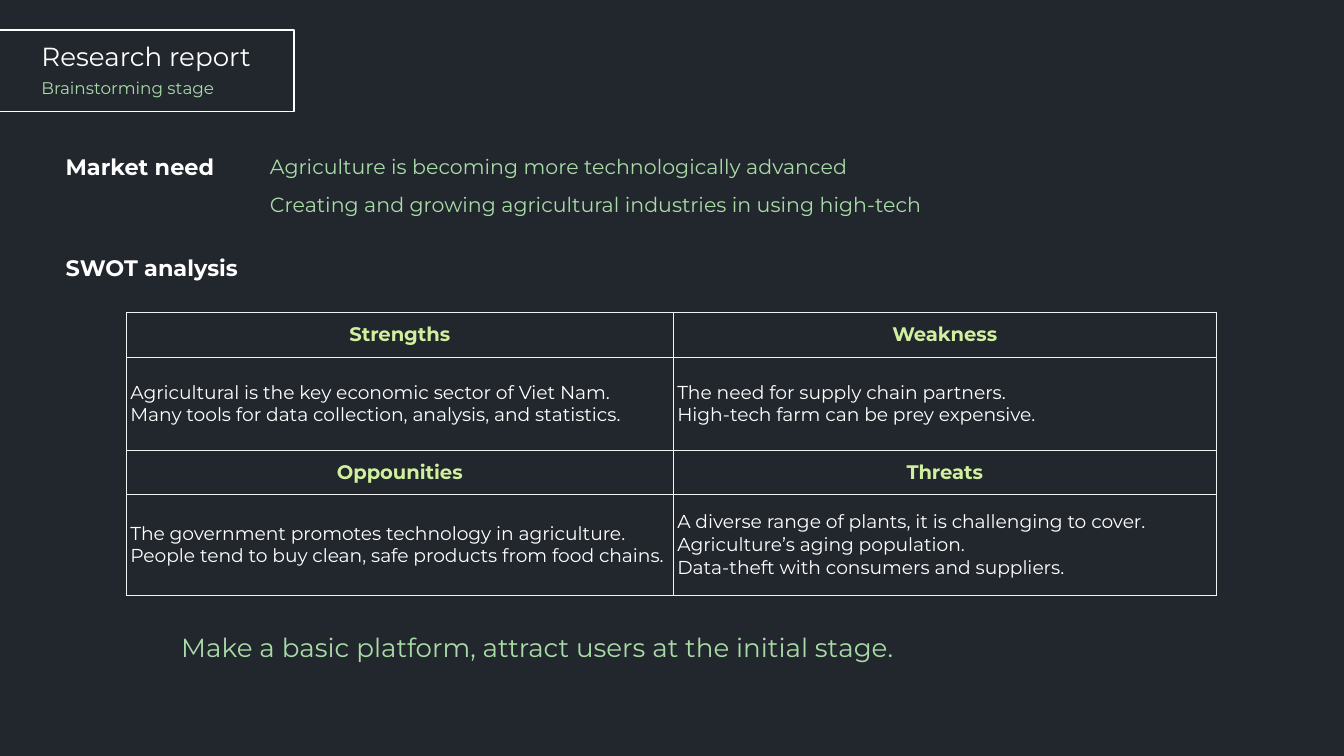
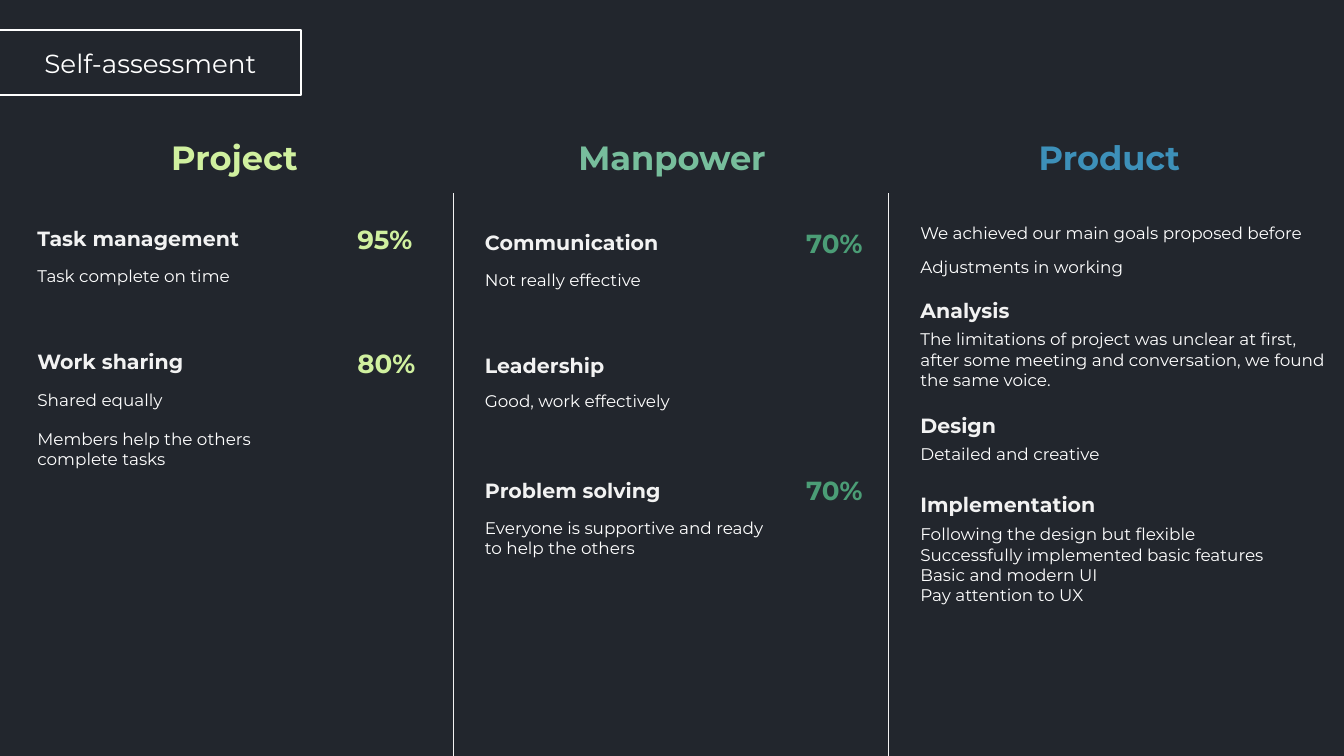
from lxml import etree
from pptx import Presentation
from pptx.dml.color import RGBColor
from pptx.enum.shapes import MSO_CONNECTOR, MSO_SHAPE
from pptx.enum.text import MSO_ANCHOR as ANCHOR, PP_ALIGN as ALIGN
from pptx.oxml.ns import qn
from pptx.util import Emu, Pt

FONT = "Montserrat"
DARK, WHITE, PALE = "22262D", "FFFFFF", "F2F2F2"
MINT, LIME, TEAL, GREEN, BLUE = "A8DBA7", "D0F09F", "77BE9C", "4B9D76", "3D90B9"

# Text styles: size, colour, bold
TITLE = (14, WHITE, False)
SUBTITLE = (9, MINT, False)
SECTION = (12, WHITE, True)
NEED = (11, MINT, False)
CONCLUSION = (14, MINT, False)
CELL_HEAD = (10.5, LIME, True)
CELL_BODY = (10, WHITE, False)
TOPIC = (11, PALE, True)
DETAIL = (9, WHITE, False)

# Research report: style, left, top, width, height, text
REPORT_TEXTS = [
    (SECTION, 39, 109, 180, 30, "Market need"),
    (NEED, 191, 110, 514, 29, "Agriculture is becoming more technologically advanced"),
    (NEED, 191, 138, 514, 29, "Creating and growing agricultural industries in using high-tech"),
    (SECTION, 39, 184, 180, 30, "SWOT analysis"),
    (CONCLUSION, 125, 465, 781, 34, "Make a basic platform, attract users at the initial stage."),
]
SWOT_COLS = [407, 404]
SWOT_ROWS = [  # height, style, alignment, cells
    (34, CELL_HEAD, ALIGN.CENTER, ["Strengths", "Weakness"]),
    (69, CELL_BODY, ALIGN.LEFT, [
        "Agricultural is the key economic sector of Viet Nam.\n"
        "Many tools for data collection, analysis, and statistics.",
        "The need for supply chain partners.\nHigh-tech farm can be prey expensive."]),
    (33, CELL_HEAD, ALIGN.CENTER, ["Oppounities", "Threats"]),
    (75, CELL_BODY, ALIGN.LEFT, [
        "The government promotes technology in agriculture.\n"
        "People tend to buy clean, safe products from food chains.",
        "A diverse range of plants, it is challenging to cover.\n"
        "Agriculture’s aging population.\nData-theft with consumers and suppliers."]),
]

# Self-assessment: heading (text, colour, left, width), left of the texts,
# texts (style, top, width, height, text), scores (colour, left, [(top, text)])
COLUMNS = [
    (("Project", LIME, 93, 163), 18, [
        (TOPIC, 163, 224, 29, "Task management"),
        (DETAIL, 193, 232, 25, "Task complete on time"),
        (TOPIC, 255, 224, 29, "Work sharing"),
        (DETAIL, 285, 232, 25, "Shared equally"),
        (DETAIL, 314, 232, 40, "Members help the others complete tasks"),
    ], (LIME, 256, [(161, "95%"), (253, "80%")])),
    (("Manpower", TEAL, 399, 202), 351, [
        (TOPIC, 166, 224, 29, "Communication"),
        (DETAIL, 196, 232, 25, "Not really effective"),
        (TOPIC, 258, 224, 34, "Leadership"),
        (DETAIL, 286, 232, 25, "Good, work effectively"),
        (TOPIC, 351, 224, 34, "Problem solving"),
        (DETAIL, 380, 232, 118, "Everyone is supportive and ready to help the others"),
    ], (GREEN, 590, [(164, "70%"), (348, "70%")])),
    (("Product", BLUE, 744, 163), 675, [
        (DETAIL, 161, 306, 25, "We achieved our main goals proposed before"),
        (DETAIL, 186, 306, 25, "Adjustments in working"),
        (TOPIC, 217, 115, 34, "Analysis"),
        (DETAIL, 240, 325, 56, "The limitations of project was unclear at first, after some "
                               "meeting and conversation, we found the same voice."),
        (TOPIC, 302, 88, 29, "Design"),
        (DETAIL, 325, 221, 25, "Detailed and creative"),
        (TOPIC, 361, 166, 29, "Implementation"),
        (DETAIL, 385, 297, 71, "Following the design but flexible\n"
                               "Successfully implemented basic features\n"
                               "Basic and modern UI\nPay attention to UX"),
    ], (BLUE, 0, [])),
]
DIVIDERS = [337, 661]


def px(n):
    """One px is a hundredth of an inch."""
    return Emu(n * 9144)


def rgb(color):
    return RGBColor.from_string(color)


def fill_text(tf, text, style, align=ALIGN.LEFT):
    size, color, bold = style
    tf.text = text
    for p in tf.paragraphs:
        p.alignment = align
        for r in p.runs:
            r.font.name, r.font.size, r.font.bold = FONT, Pt(size), bold
            r.font.color.rgb = rgb(color)


def add_text(s, style, x, y, w, h, text, align=ALIGN.LEFT, anchor=ANCHOR.TOP, pad=5):
    tf = s.shapes.add_textbox(px(x), px(y), px(w), px(h)).text_frame
    tf.word_wrap = True
    tf.vertical_anchor = anchor
    tf.margin_left = tf.margin_right = px(10)
    tf.margin_top = tf.margin_bottom = px(pad)
    fill_text(tf, text, style, align)


def add_label(s, style, x, y, w, h, text, align=ALIGN.CENTER):
    add_text(s, style, x, y, w, h, text, align, ANCHOR.MIDDLE, 10)


def add_slide(prs, frame_width, frame_height):
    """Dark slide with the title frame running in from the left edge."""
    s = prs.slides.add_slide(prs.slide_layouts[6])
    s.background.fill.solid()
    s.background.fill.fore_color.rgb = rgb(DARK)
    sp = s.shapes.add_shape(MSO_SHAPE.RECTANGLE, px(-7), px(22), px(frame_width), px(frame_height))
    sp.shadow.inherit = False
    sp.fill.background()
    sp.line.color.rgb = rgb(WHITE)
    sp.line.width = Pt(1)
    return s


def set_borders(cell):
    tcPr = cell._tc.get_or_add_tcPr()
    for i, side in enumerate(("lnL", "lnR", "lnT", "lnB")):
        ln = etree.Element(qn("a:" + side), w=str(Pt(0.25)))
        fill = etree.SubElement(ln, qn("a:solidFill"))
        etree.SubElement(fill, qn("a:srgbClr"), val=PALE)
        tcPr.insert(i, ln)


def add_swot(s, x, y):
    height = sum(row[0] for row in SWOT_ROWS)
    table = s.shapes.add_table(len(SWOT_ROWS), len(SWOT_COLS), px(x), px(y),
                               px(sum(SWOT_COLS)), px(height)).table
    table.first_row = table.horz_banding = False
    for col, w in zip(table.columns, SWOT_COLS):
        col.width = px(w)
    for row, (h, style, align, texts) in zip(table.rows, SWOT_ROWS):
        row.height = px(h)
        for cell, text in zip(row.cells, texts):
            cell.fill.background()
            cell.vertical_anchor = ANCHOR.MIDDLE
            cell.margin_left = cell.margin_right = px(3)
            cell.margin_top = cell.margin_bottom = px(2)
            fill_text(cell.text_frame, text, style, align)
            set_borders(cell)


def add_divider(s, x):
    line = s.shapes.add_connector(MSO_CONNECTOR.STRAIGHT, px(x), px(144), px(x), px(574))
    line.line.color.rgb = rgb(PALE)
    line.line.width = Pt(0.25)
    etree.SubElement(line._element.spPr, qn("a:effectLst"))


def build_report(prs):
    s = add_slide(prs, 226, 61)
    add_label(s, TITLE, 21, 30, 198, 24, "Research report", ALIGN.LEFT)
    add_label(s, SUBTITLE, 21, 54, 198, 22, "Brainstorming stage", ALIGN.LEFT)
    for item in REPORT_TEXTS:
        add_text(s, *item)
    add_swot(s, 94, 232)


def build_assessment(prs):
    s = add_slide(prs, 231, 49)
    add_label(s, TITLE, 0, 33, 224, 28, "Self-assessment")
    for x in DIVIDERS:
        add_divider(s, x)
    for (heading, color, hx, hw), x, texts, (score_color, score_x, scores) in COLUMNS:
        add_label(s, (18, color, True), hx, 104, hw, 26, heading)
        for style, y, w, h, text in texts:
            add_text(s, style, x, y, w, h, text)
        for y, text in scores:
            add_text(s, (14, score_color, True), score_x, y, 71, 34, text, anchor=ANCHOR.MIDDLE)


def main():
    prs = Presentation()
    prs.slide_width = px(1000)
    prs.slide_height = prs.slide_width * 9 // 16
    build_report(prs)
    build_assessment(prs)
    prs.save("out.pptx")


if __name__ == "__main__":
    main()
